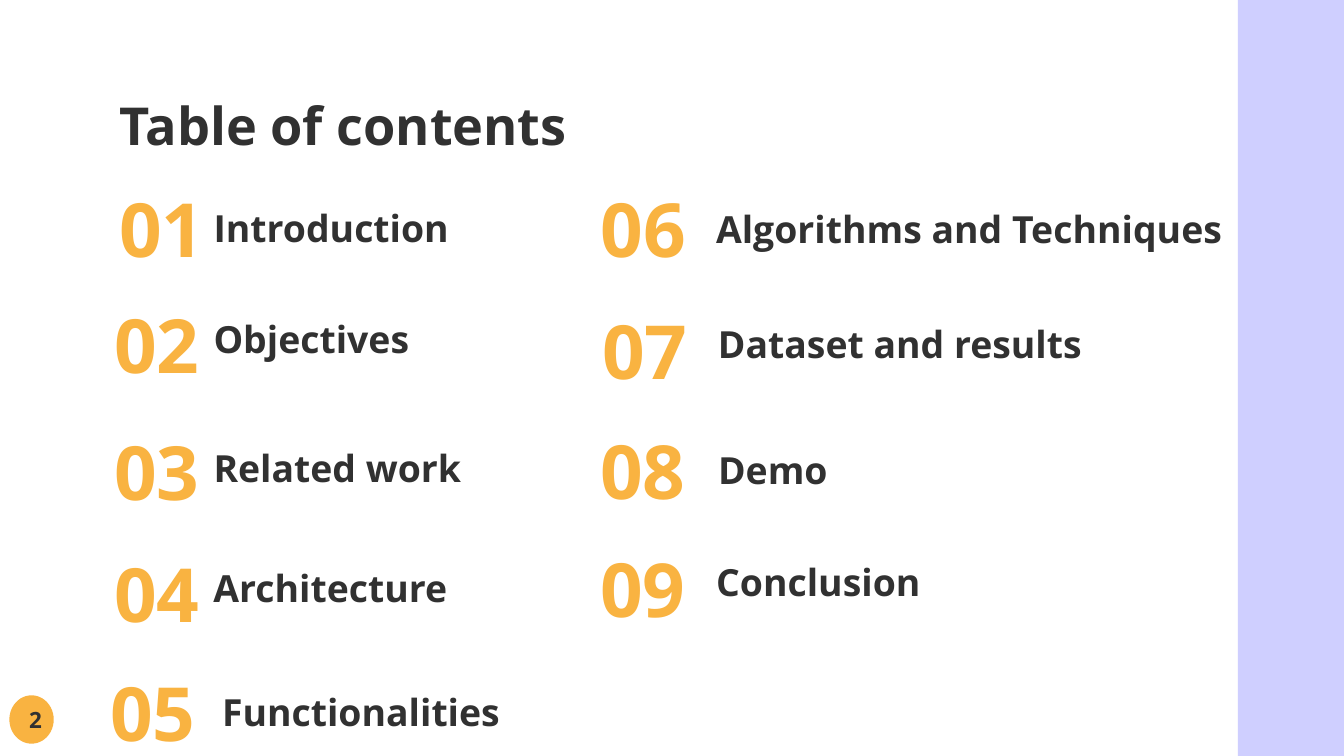
"""Build a table of contents slide with nine numbered topics in two columns."""
from pptx import Presentation
from pptx.dml.color import RGBColor as Rgb
from pptx.enum.shapes import MSO_SHAPE as Shape
from pptx.enum.text import MSO_ANCHOR as Anchor, PP_ALIGN as Align
from pptx.util import Inches, Pt

COLORS = {"ink": "313131", "accent": "F9B341", "band": "CFCFFF", "paper": "FFFFFF"}
FONT = "Open Sans"

deck = Presentation()
deck.slide_width = Inches(10)
deck.slide_height = deck.slide_width * 9 // 16
CELL = deck.slide_width / 100
ROWS = deck.slide_height / CELL


def cells(*counts):
    return [round(count * CELL) for count in counts]


def write(box, text, size=20, color="ink", anchor=Anchor.MIDDLE, align=Align.LEFT, inset=1):
    frame = box.text_frame
    frame.word_wrap = True
    frame.vertical_anchor = anchor
    frame.margin_left = frame.margin_right = round(CELL)
    frame.margin_top = frame.margin_bottom = round(inset * CELL)
    para = frame.paragraphs[0]
    para.alignment = align
    span = para.add_run()
    span.text = text
    span.font.name, span.font.size, span.font.bold = FONT, Pt(size), True
    span.font.color.rgb = Rgb.from_string(COLORS[color])


page = deck.slides.add_slide(deck.slide_layouts[5])
page.background.fill.solid()
page.background.fill.fore_color.rgb = Rgb.from_string(COLORS["paper"])

title = page.shapes.title
title.left, title.top, title.width, title.height = cells(7.9, 5.94, 61, 5.9)
write(title, "Table of contents", size=28, anchor=Anchor.TOP)

decorations = {}
for name, preset, color, area in [
    ("band", Shape.RECTANGLE, "band", (92.1, 0, 7.9, ROWS)),
    ("page number", Shape.FLOWCHART_CONNECTOR, "accent", (0.7, 51.74, 3.3, 3.6)),
]:
    box = page.shapes.add_shape(preset, *cells(*area))
    box.shadow.inherit = False
    box.fill.solid()
    box.fill.fore_color.rgb = Rgb.from_string(COLORS[color])
    box.line.fill.background()
    decorations[name] = box
write(decorations["page number"], "2", size=12, align=Align.CENTER, inset=0.5)

topics = [
    ("Introduction", 7.9, 13.4, 14.9, 13.4, 22.5),
    ("Objectives", 7.5, 22, 14.9, 21.66, 21.1),
    ("Related work", 7.5, 31.44, 14.9, 31.24, 21.1),
    ("Architecture", 7.5, 40.54, 14.9, 40.2, 22),
    ("Functionalities", 7.2, 49.4, 15.54, 49.4, 25.7),
    ("Algorithms and Techniques", 43.7, 13.4, 52.3, 13.44, 43.6),
    ("Dataset and results", 43.84, 22.5, 52.44, 22, 31.7),
    ("Demo", 43.68, 31.4, 52.44, 31.4, 22.1),
    ("Conclusion", 43.68, 40.2, 52.3, 39.7, 20),
]
for index, (topic, number_left, number_top, left, top, width) in enumerate(topics, 1):
    number = page.shapes.add_textbox(*cells(number_left, number_top, 9.8, 7.1))
    write(number, f"{index:02}", size=40, color="accent")
    label = page.shapes.add_textbox(*cells(left, top, width, 7.1))
    write(label, topic)

deck.save("out.pptx")
